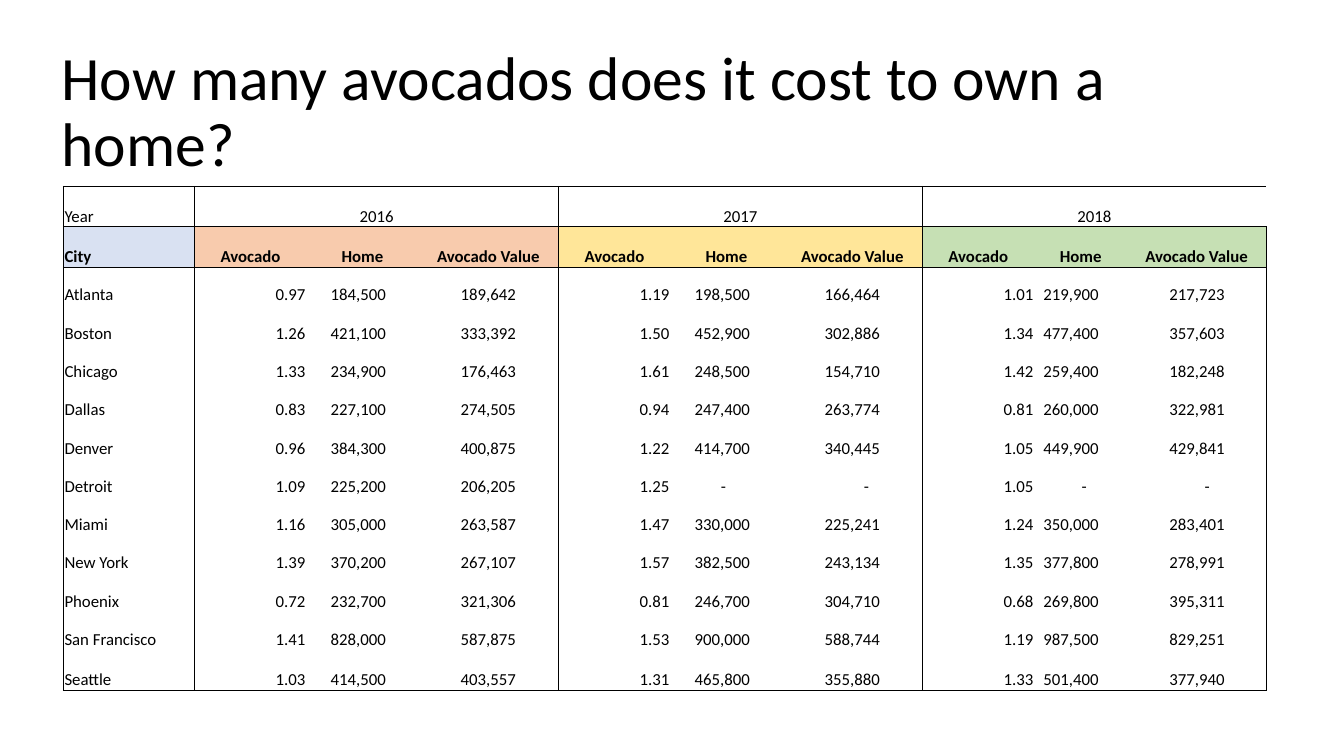
from lxml import etree
from pptx import Presentation
from pptx.dml.color import RGBColor
from pptx.enum.text import MSO_ANCHOR, MSO_AUTO_SIZE, PP_ALIGN
from pptx.oxml.ns import qn
from pptx.util import Inches, Pt

LEFT, CENTER, RIGHT = PP_ALIGN.LEFT, PP_ALIGN.CENTER, PP_ALIGN.RIGHT
MIDDLE, BOTTOM = MSO_ANCHOR.MIDDLE, MSO_ANCHOR.BOTTOM
NO_FIT = MSO_AUTO_SIZE.NONE

COLORS = {"ink": "000000", "city": "D9E1F2", "2016": "F8CBAD",
          "2017": "FFE699", "2018": "C6E0B4"}
YEARS = ["2016", "2017", "2018"]
MEASURES = ["Avocado", "Home", "Avocado Value"]
GROUP = len(MEASURES)

# City, then avocado price, home price and home price in avocados for each year
CITIES = [
    ("Atlanta", "0.97 184,500 189,642 1.19 198,500 166,464 1.01 219,900 217,723"),
    ("Boston", "1.26 421,100 333,392 1.50 452,900 302,886 1.34 477,400 357,603"),
    ("Chicago", "1.33 234,900 176,463 1.61 248,500 154,710 1.42 259,400 182,248"),
    ("Dallas", "0.83 227,100 274,505 0.94 247,400 263,774 0.81 260,000 322,981"),
    ("Denver", "0.96 384,300 400,875 1.22 414,700 340,445 1.05 449,900 429,841"),
    ("Detroit", "1.09 225,200 206,205 1.25 - - 1.05 - -"),
    ("Miami", "1.16 305,000 263,587 1.47 330,000 225,241 1.24 350,000 283,401"),
    ("New York", "1.39 370,200 267,107 1.57 382,500 243,134 1.35 377,800 278,991"),
    ("Phoenix", "0.72 232,700 321,306 0.81 246,700 304,710 0.68 269,800 395,311"),
    ("San Francisco", "1.41 828,000 587,875 1.53 900,000 588,744 1.19 987,500 829,251"),
    ("Seattle", "1.03 414,500 403,557 1.31 465,800 355,880 1.33 501,400 377,940"),
]
COLUMN_WIDTHS = [1.3, 1.11, 1.11, 1.39, 1.11, 1.11, 1.39, 1.11, 0.92, 1.38]
ROW_HEIGHTS = [0.4, 0.4] + [0.38] * (len(CITIES) - 1) + [0.4]
# Left indents by column, for figures and for the dash of a missing figure
FIGURE_INDENTS = {2: 0.23, 3: 0.41, 5: 0.23, 6: 0.41, 8: 0.08, 9: 0.41}
DASH_INDENTS = {5: 0.49, 6: 0.8, 8: 0.46, 9: 0.76}


class SlideBuilder:
    font = "Calibri"
    cell_margin = 0.01

    def __init__(self, slide):
        self.slide = slide

    def add_run(self, paragraph, text, size, bold=False):
        run = paragraph.add_run()
        run.text = text
        run.font.name = self.font
        run.font.size = Pt(size)
        run.font.bold = bold
        run.font.color.rgb = RGBColor.from_string(COLORS["ink"])

    def title(self, text, left, top, width, height):
        title = self.slide.shapes.title
        title.left, title.top = Inches(left), Inches(top)
        title.width, title.height = Inches(width), Inches(height)
        frame = title.text_frame
        frame.word_wrap = True
        frame.auto_size = NO_FIT
        frame.vertical_anchor = MIDDLE
        paragraph = frame.paragraphs[0]
        paragraph.alignment = LEFT
        paragraph.line_spacing = 0.9
        self.add_run(paragraph, text, 44)

    def table(self, left, top, widths, heights):
        table = self.slide.shapes.add_table(
            len(heights), len(widths), Inches(left), Inches(top),
            Inches(sum(widths)), Inches(sum(heights))).table
        table.first_row = table.horz_banding = False
        for column, width in zip(table.columns, widths):
            column.width = Inches(width)
        for row, height in zip(table.rows, heights):
            row.height = Inches(height)
        return table

    def borders(self, cell, sides):
        """Draw the given sides (letters of LRTB) and clear the others."""
        properties = cell._tc.get_or_add_tcPr()
        for side in "LRTB":
            line = etree.SubElement(properties, qn(f"a:ln{side}"), w=str(Pt(1)))
            if side in sides:
                fill = etree.SubElement(line, qn("a:solidFill"))
                etree.SubElement(fill, qn("a:srgbClr"), val=COLORS["ink"])
            else:
                etree.SubElement(line, qn("a:noFill"))

    def cell(self, cell, text, align=LEFT, indent=0, bold=False, fill=None):
        cell.margin_left = Inches(self.cell_margin + indent)
        cell.margin_right = cell.margin_top = Inches(self.cell_margin)
        cell.margin_bottom = 0
        cell.vertical_anchor = BOTTOM
        if fill:
            cell.fill.solid()
            cell.fill.fore_color.rgb = RGBColor.from_string(COLORS[fill])
        else:
            cell.fill.background()
        if text:
            paragraph = cell.text_frame.paragraphs[0]
            paragraph.alignment = align
            self.add_run(paragraph, text, 12, bold)


def border_sides(row, column):
    """Frame each header row, the city column and each year's block."""
    sides = ""
    if column % GROUP == 1 or column == 0:
        sides += "L"
    if column % GROUP == 0:
        sides += "R"
    if row <= 2:
        sides += "T"
    if row <= 1 or row == len(ROW_HEIGHTS) - 1:
        sides += "B"
    return sides


def fill_table(builder, table):
    for row in range(len(ROW_HEIGHTS)):
        for column in range(len(COLUMN_WIDTHS)):
            builder.borders(table.cell(row, column), border_sides(row, column))

    builder.cell(table.cell(0, 0), "Year")
    builder.cell(table.cell(1, 0), "City", bold=True, fill="city")
    for index, year in enumerate(YEARS):
        first = 1 + index * GROUP
        for offset, measure in enumerate(MEASURES):
            column = first + offset
            builder.cell(table.cell(0, column), "" if offset else year, CENTER)
            builder.cell(table.cell(1, column), measure, CENTER,
                         bold=True, fill=year)
        table.cell(0, first).merge(table.cell(0, first + GROUP - 1))

    for row, (city, figures) in enumerate(CITIES, start=2):
        builder.cell(table.cell(row, 0), city)
        for column, figure in enumerate(figures.split(), start=1):
            indents = DASH_INDENTS if figure == "-" else FIGURE_INDENTS
            builder.cell(table.cell(row, column), figure,
                         RIGHT if column % GROUP == 1 else LEFT,
                         indents.get(column, 0))


def main():
    presentation = Presentation()
    presentation.slide_width = Inches(13.33)
    presentation.slide_height = Inches(7.5)
    title_only = presentation.slide_layouts[5]
    builder = SlideBuilder(presentation.slides.add_slide(title_only))
    builder.title("How many avocados does it cost to own a home?",
                  0.51, 0.4, 12.39, 1.45)
    fill_table(builder, builder.table(0.63, 1.85, COLUMN_WIDTHS, ROW_HEIGHTS))
    presentation.save("out.pptx")


if __name__ == "__main__":
    main()
